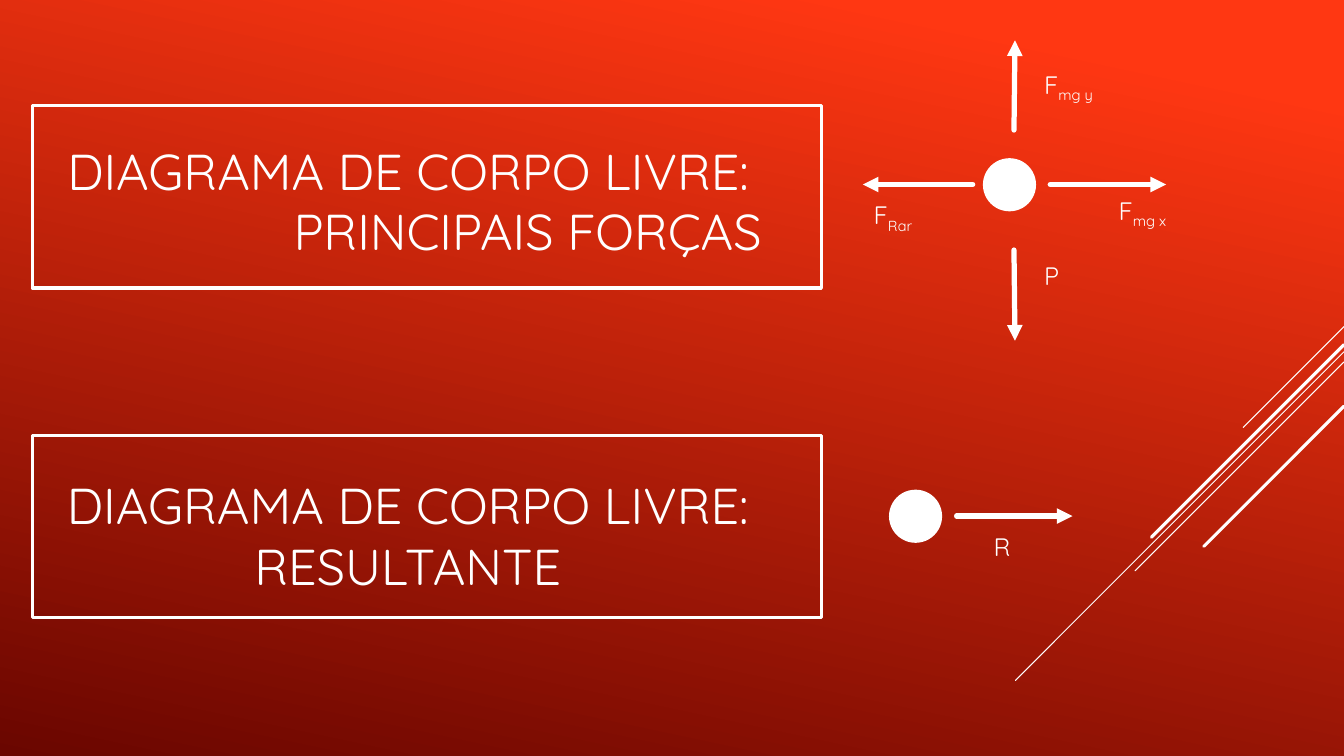
from lxml import etree
from pptx import Presentation
from pptx.dml.color import RGBColor
from pptx.enum.shapes import MSO_CONNECTOR, MSO_SHAPE
from pptx.enum.text import MSO_ANCHOR, MSO_AUTO_SIZE, PP_ALIGN
from pptx.oxml.ns import qn
from pptx.util import Pt

STRAIGHT = MSO_CONNECTOR.STRAIGHT
OVAL, RECT = MSO_SHAPE.OVAL, MSO_SHAPE.RECTANGLE
LEFT, CENTER = PP_ALIGN.LEFT, PP_ALIGN.CENTER
MIDDLE = MSO_ANCHOR.MIDDLE
GROW = MSO_AUTO_SIZE.SHAPE_TO_FIT_TEXT

WHITE = RGBColor(0xFF, 0xFF, 0xFF)
ORANGE = RGBColor(0xFF, 0x37, 0x12)
MAROON = RGBColor(0x6A, 0x06, 0x00)

SLIDE_W, SLIDE_H = 960, 540
GRADIENT = [(0.1, ORANGE), (1, MAROON)]
HEADING = {"name": "Quicksand", "size": Pt(36)}
LABEL = {"name": "Quicksand", "size": Pt(18)}

RESULT_TITLE = "DIAGRAMA DE CORPO LIVRE:\vRESULTANTE"
RESULT_BOX = (-44.6, 322.6, 671.8, 118.8)
FORCES_TITLE = [("DIAGRAMA DE CORPO LIVRE:", LEFT), ("PRINCIPAIS FORÇAS", CENTER)]
FORCES_BOX = (41, 83.5, 671.8, 118.8)

FRAME_X, FRAME_W, FRAME_H = 23, 563.8, 130.3
FRAME_TOPS = [75.4, 311]

DIAGONALS = [
    (233.3, 72, 0.75),
    (251.3, 234.7, 0.75),
    (258.5, 149.2, 0.75),
    (246.2, 137.5, 2.25),
    (290.2, 100.1, 2.25),
]

BALL = 36.7
BALLS = [(702.7, 113.6), (635.6, 350.4)]
ARROWS = [
    (750.2, 131.8, 833, 131.8),
    (694.8, 131.8, 616.3, 131.8),
    (724.3, 92.9, 725, 28.8),
    (724.3, 178.6, 725, 243.4),
    (683.3, 368.6, 766.1, 368.6),
]
LABEL_H = 29
LABELS = [
    ("F", "mg x", 792, 136.1, 74.2),
    ("F", "Rar", 617, 139, 65.5),
    ("F", "mg y", 738.7, 46.1, 74.2),
    ("P", "", 738.7, 182.2, 65.5),
    ("R", "", 702.7, 375.8, 74.2),
]


def box(*lengths):
    return [Pt(v) for v in lengths]


def style_text(p, font):
    for r in p.runs:
        for key, value in font.items():
            setattr(r.font, key, value)
        r.font.color.rgb = WHITE


def add_line(slide, ends, width, arrow=False):
    sp = slide.shapes.add_connector(STRAIGHT, *box(*ends))
    sp.line.color.rgb = WHITE
    sp.line.width = Pt(width)
    props = sp.element.spPr
    ln = props.find(qn("a:ln"))
    ln.set("cap", "rnd")
    if arrow:
        etree.SubElement(ln, qn("a:tailEnd"), type="triangle")
    etree.SubElement(props, qn("a:effectLst"))


def add_outline(slide, kind, place, width, filled):
    sp = slide.shapes.add_shape(kind, *box(*place))
    sp.shadow.inherit = False
    if filled:
        sp.fill.solid()
        sp.fill.fore_color.rgb = WHITE
    else:
        sp.fill.background()
    sp.line.color.rgb = WHITE
    sp.line.width = Pt(width)


def add_label(slide, symbol, index, x, y, w):
    tf = slide.shapes.add_textbox(*box(x, y, w, LABEL_H)).text_frame
    tf.word_wrap = True
    tf.auto_size = GROW
    p = tf.paragraphs[0]
    p.add_run().text = symbol
    if index:
        r = p.add_run()
        r.text = index
        r.font.element.set("baseline", "-25000") if hasattr(r.font, "element") else r._r.get_or_add_rPr().set("baseline", "-25000")
    style_text(p, LABEL)


def main():
    prs = Presentation()
    prs.slide_width, prs.slide_height = box(SLIDE_W, SLIDE_H)
    slide = prs.slides.add_slide(prs.slide_layouts[5])

    fill = slide.background.fill
    fill.gradient()
    fill.gradient_angle = 360 - 102
    for stop, (position, color) in zip(fill.gradient_stops, GRADIENT):
        stop.position = position
        stop.color.rgb = color

    for y, reach, width in DIAGONALS:
        add_line(slide, (SLIDE_W, y, SLIDE_W - reach, y + reach), width)

    title = slide.shapes.title
    title.left, title.top, title.width, title.height = box(*RESULT_BOX)
    tf = title.text_frame
    tf.text = RESULT_TITLE
    tf.word_wrap = True
    tf.vertical_anchor = MIDDLE
    tf.paragraphs[0].alignment = CENTER
    style_text(tf.paragraphs[0], HEADING)

    for x, y in BALLS:
        add_outline(slide, OVAL, (x, y, BALL, BALL), 1.25, True)
    for ends in ARROWS:
        add_line(slide, ends, 3.75, True)
    for label in LABELS:
        add_label(slide, *label)

    tf = slide.shapes.add_textbox(*box(*FORCES_BOX)).text_frame
    tf.word_wrap = True
    tf.vertical_anchor = MIDDLE
    for i, (text, align) in enumerate(FORCES_TITLE):
        p = tf.add_paragraph() if i else tf.paragraphs[0]
        p.add_run().text = text
        p.alignment = align
        style_text(p, HEADING)

    for y in FRAME_TOPS:
        add_outline(slide, RECT, (FRAME_X, y, FRAME_W, FRAME_H), 2.25, False)

    prs.save("out.pptx")


if __name__ == "__main__":
    main()
